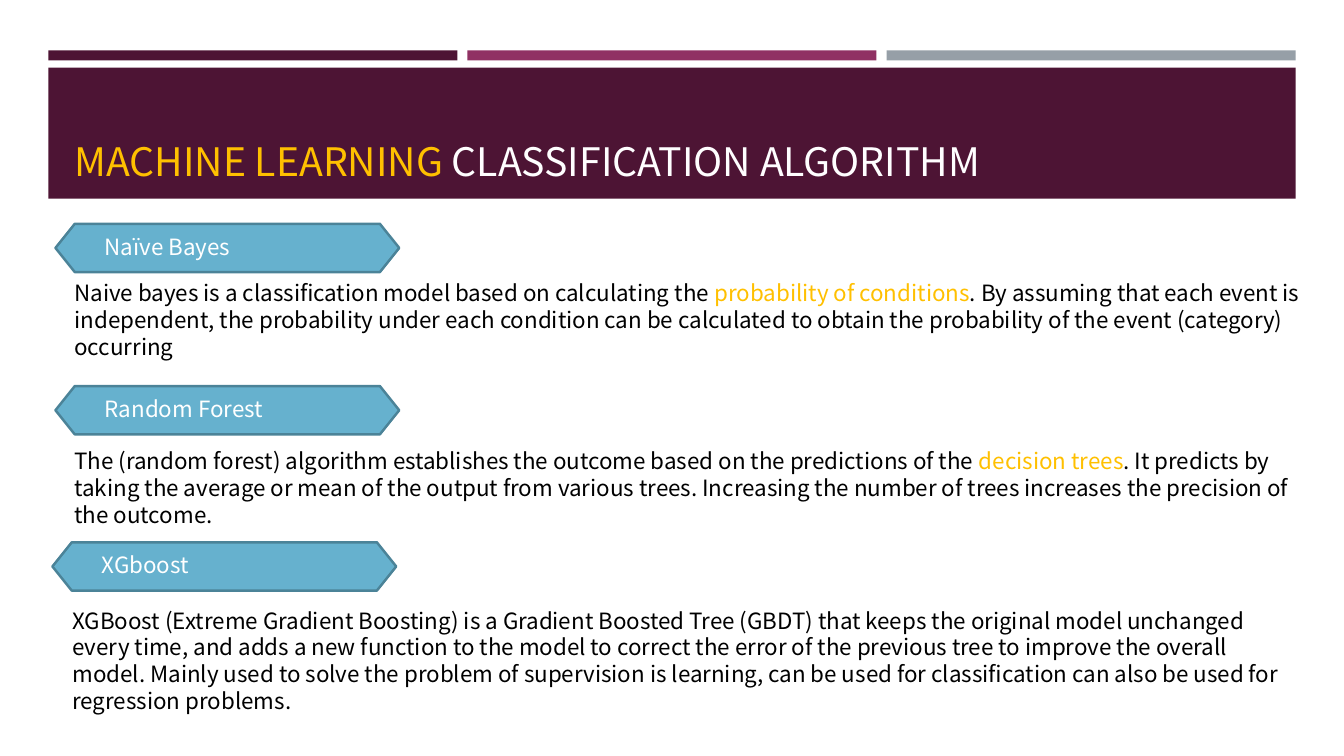
from dataclasses import dataclass

from pptx import Presentation
from pptx.dml.color import RGBColor
from pptx.enum.shapes import MSO_SHAPE as Preset
from pptx.enum.text import MSO_ANCHOR as Anchor, PP_ALIGN as Align
from pptx.util import Inches, Pt


@dataclass(frozen=True)
class Theme:
    font: str = "Noto Sans CJK TC"
    title_size: int = 28
    body_size: int = 16
    outline_width: float = 1.75
    plum: str = "4D1434"
    magenta: str = "903163"
    grey: str = "969FA7"
    blue: str = "66B1CE"
    blue_edge: str = "4B8398"
    gold: str = "FFC000"
    title_white: str = "FFFEFF"
    white: str = "FFFFFF"
    black: str = "000000"


THEME = Theme()
SLIDE_WIDTH, SLIDE_HEIGHT = 13.33, 7.5

TITLE = [("MACHINE LEARNING ", THEME.gold),
         ("CLASSIFICATION ALGORITHM", THEME.title_white)]

# Each section: label, label position, description box, description runs
SECTIONS = [
    ("Naïve Bayes", (0.55, 2.22), (0.64, 2.72, 12.39, 0.91), [
        ("Naive bayes is a classification model based on calculating the ", THEME.black),
        ("probability of conditions", THEME.gold),
        (". By assuming that each event is independent, the probability under each "
         "condition can be calculated to obtain the probability of the event "
         "(category) occurring", THEME.black)]),
    ("Random Forest", (0.55, 3.83), (0.64, 4.39, 12.39, 0.91), [
        ("The (random forest) algorithm establishes the outcome based on the "
         "predictions of the ", THEME.black),
        ("decision trees", THEME.gold),
        (". It predicts by taking the average or mean of the output from various "
         "trees. Increasing the number of trees increases the precision of the "
         "outcome.", THEME.black)]),
    ("XGboost", (0.52, 5.38), (0.62, 5.97, 12.41, 1.18), [
        ("XGBoost (Extreme Gradient Boosting) is a Gradient Boosted Tree (GBDT) that "
         "keeps the original model unchanged every time, and adds a new function to "
         "the model to correct the error of the previous tree to improve the overall "
         "model. Mainly used to solve the problem of supervision is learning, can be "
         "used for classification can also be used for regression problems.",
         THEME.black)]),
]


def inches(*lengths):
    return [Inches(length) for length in lengths]


def add_block(shapes, preset, box, fill, edge=None):
    block = shapes.add_shape(preset, *inches(*box))
    block.shadow.inherit = False
    block.fill.solid()
    block.fill.fore_color.rgb = RGBColor.from_string(fill)
    if edge:
        block.line.color.rgb = RGBColor.from_string(edge)
        block.line.width = Pt(THEME.outline_width)
    else:
        block.line.fill.background()
    return block


def add_runs(para, runs, size):
    para.alignment = Align.LEFT
    for text, color in runs:
        span = para.add_run()
        span.text = text
        span.font.name = THEME.font
        span.font.size = Pt(size)
        span.font.color.rgb = RGBColor.from_string(color)


def add_text(shapes, box, runs):
    frame = shapes.add_textbox(*inches(*box)).text_frame
    frame.word_wrap = True
    add_runs(frame.paragraphs[0], runs, THEME.body_size)
    return frame


def add_header(page, box):
    left, top, width, height = box

    # Three equal bars across the top
    gap, bar_height = 0.1, 0.1
    bar_width = (width - 2 * gap) / 3
    for column, color in enumerate((THEME.plum, THEME.magenta, THEME.grey)):
        bar_left = left + column * (bar_width + gap)
        add_block(page.shapes, Preset.RECTANGLE,
                  (bar_left, top, bar_width, bar_height), color)

    # Title band
    band_top = top + 0.17
    add_block(page.shapes, Preset.RECTANGLE,
              (left, band_top, width, height - 0.17), THEME.plum)

    # Title, raised above the band
    title = page.shapes.title
    title.left, title.top, title.width, title.height = inches(
        left + 0.16, band_top + 0.1, width - 0.31, 1.11)
    title.text_frame.vertical_anchor = Anchor.BOTTOM
    title.text_frame.word_wrap = True
    add_runs(title.text_frame.paragraphs[0], TITLE, THEME.title_size)
    page.shapes._spTree.append(title._element)


def add_label(page, box, text):
    left, top, width, height = box
    group = page.shapes.add_group_shape()
    hexagon = add_block(group.shapes, Preset.HEXAGON, box, THEME.blue, THEME.blue_edge)
    hexagon.adjustments[0] = 0.4
    frame = add_text(group.shapes,
                     (left + 0.36, top + 0.05, width - 0.72, height - 0.1),
                     [(text, THEME.white)])
    frame.vertical_anchor = Anchor.MIDDLE
    frame.margin_left = frame.margin_right = Inches(0.13)
    frame.margin_top = frame.margin_bottom = Inches(0.13)
    frame.paragraphs[0].line_spacing = 0.9


def add_section(page, label, label_at, description_box, runs):
    add_label(page, (*label_at, 3.41, 0.48), label)
    add_text(page.shapes, description_box, runs)


def main():
    deck = Presentation()
    deck.slide_width, deck.slide_height = inches(SLIDE_WIDTH, SLIDE_HEIGHT)
    title_only = deck.slide_layouts[5]
    page = deck.slides.add_slide(title_only)
    add_header(page, (0.48, 0.5, 12.37, 1.47))
    for section in SECTIONS:
        add_section(page, *section)
    deck.save("out.pptx")


if __name__ == "__main__":
    main()
